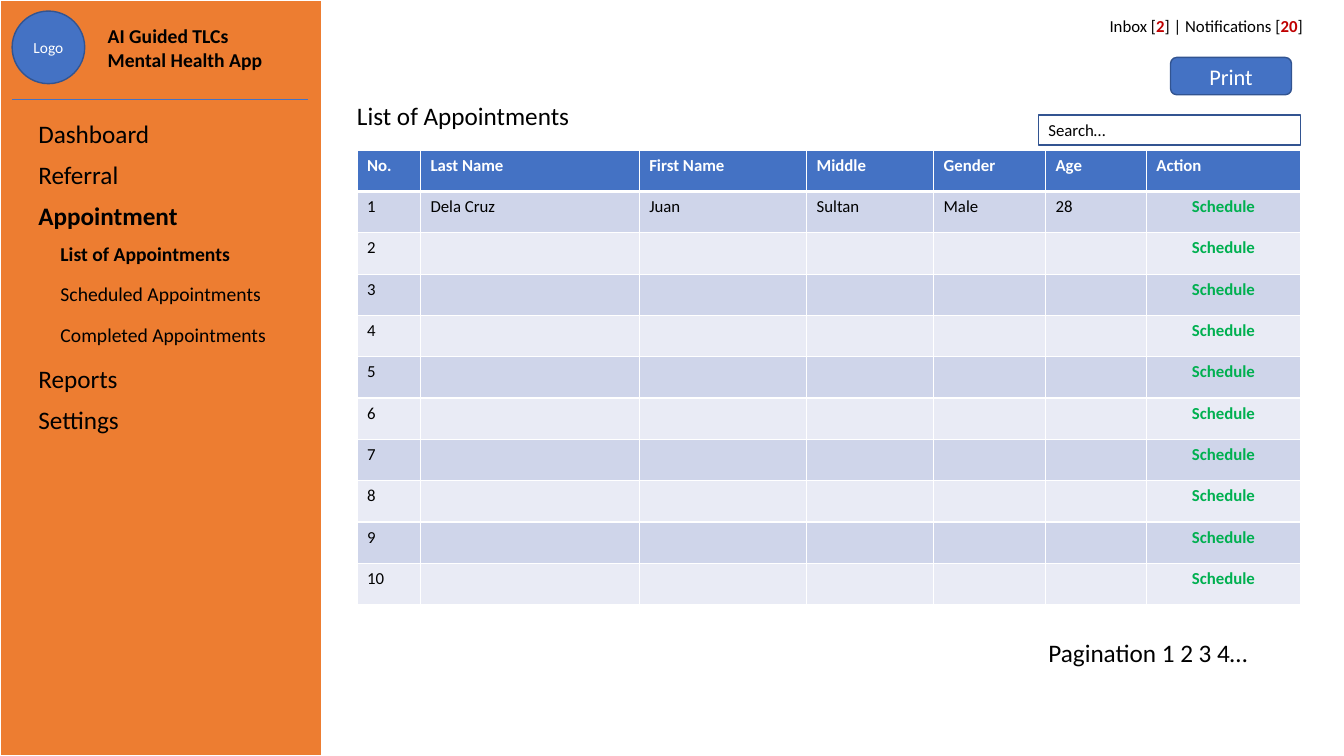
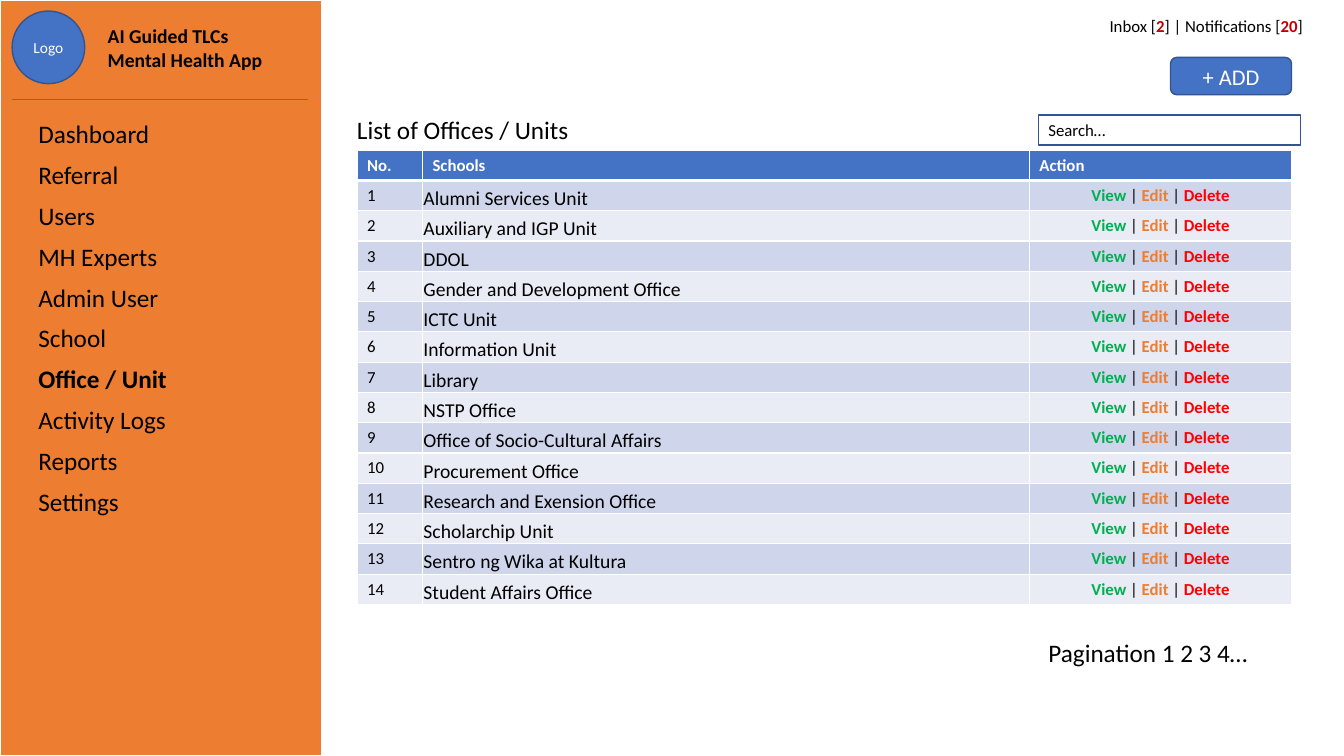
from lxml import etree
from pptx import Presentation
from pptx.dml.color import RGBColor
from pptx.enum.shapes import MSO_CONNECTOR, MSO_SHAPE
from pptx.enum.text import MSO_ANCHOR as ANCHOR, MSO_AUTO_SIZE, PP_ALIGN as ALIGN
from pptx.oxml.ns import qn
from pptx.util import Inches, Pt

COLORS = {
    "orange": "ED7D31", "blue": "4472C4", "navy": "325491", "white": "FFFFFF",
    "black": "000000", "crimson": "C00000", "green": "00B050", "red": "FF0000",
    "band_dark": "CFD5EA", "band_light": "E9EBF5",
}
FONT = "Calibri"
NO_TABLE_STYLE = "{2D5ABB26-0587-4C30-8999-92F81FD0307C}"


def add_spans(para, spans, size, align=ALIGN.LEFT):
    """Write (text, colour, bold) spans into a paragraph."""
    para.alignment = align
    for text, color, bold in spans:
        span = para.add_run()
        span.text = text
        span.font.name = FONT
        span.font.size = Pt(size)
        span.font.bold = bold
        span.font.color.rgb = RGBColor.from_string(COLORS[color])


def add_panel(page, geometry, place, spans, size, align=ALIGN.LEFT,
              fill="blue", line="navy", weight=1):
    """Add a preset shape, or a plain text box when geometry is None."""
    place = [Inches(value) for value in place]
    if geometry is None:
        box = page.shapes.add_textbox(*place)
    else:
        box = page.shapes.add_shape(geometry, *place)
        box.shadow.inherit = False
        box.fill.solid()
        box.fill.fore_color.rgb = RGBColor.from_string(COLORS[fill])
        box.line.color.rgb = RGBColor.from_string(COLORS[line])
        box.line.width = Pt(weight)
        box.text_frame.vertical_anchor = ANCHOR.MIDDLE
    box.text_frame.word_wrap = True
    add_spans(box.text_frame.paragraphs[0], spans, size, align)


# Content of the two pages
schedule = [("Schedule", "green", True)]
edit_links = [("View", "green", True), (" | ", "black", False),
              ("Edit", "orange", True), (" | ", "black", False),
              ("Delete", "red", True)]
patient = ["Dela Cruz", "Juan", "Sultan", "Male", "28"]
offices = [
    "Alumni Services Unit", "Auxiliary and IGP Unit", "DDOL",
    "Gender and Development Office", "ICTC Unit", "Information Unit", "Library",
    "NSTP Office", "Office of Socio-Cultural Affairs", "Procurement Office",
    "Research and Exension Office", "Scholarchip Unit",
    "Sentro ng Wika at Kultura", "Student Affairs Office",
]
pages = [
    {
        "title": "List of Appointments", "title_place": (3.54, 0.94, 2.8, 0.4),
        "button": "Print",
        "menu": ["Dashboard", "Referral", "Appointment", "List of Appointments",
                 "Scheduled Appointments", "Completed Appointments",
                 "Reports", "Settings"],
        "submenu": range(3, 6), "active": ["Appointment", "List of Appointments"],
        "header": ["No.", "Last Name", "First Name", "Middle", "Gender", "Age", "Action"],
        "rows": [patient] + [[""] * 5] * 9, "actions": schedule,
        "widths": [0.63, 2.17, 1.66, 1.26, 1.11, 1, 1.53],
        "row_height": 0.41, "flush_names": False,
    },
    {
        "title": "List of Offices / Units", "title_place": (3.54, 1.08, 6.51, 0.4),
        "button": "+ ADD",
        "menu": ["Dashboard", "Referral", "Users", "MH Experts", "Admin User",
                 "School", "Office / Unit", "Activity Logs", "Reports", "Settings"],
        "submenu": [], "active": ["Office / Unit"],
        "header": ["No.", "Schools", "Action"],
        "rows": [[office] for office in offices], "actions": edit_links,
        "widths": [0.65, 6.02, 2.6],
        "row_height": 0.3, "flush_names": True,
    },
]
MENU_ROW = 0.405

deck = Presentation()
deck.slide_width, deck.slide_height = Inches(13.33), Inches(7.5)

for content in pages:
    page = deck.slides.add_slide(deck.slide_layouts[5])

    # Title
    title = page.shapes.title
    title.left, title.top, title.width, title.height = [
        Inches(value) for value in content["title_place"]]
    frame = title.text_frame
    frame.auto_size = MSO_AUTO_SIZE.NONE
    frame.word_wrap = True
    frame.vertical_anchor = ANCHOR.TOP
    frame.margin_left = 0
    add_spans(frame.paragraphs[0], [(content["title"], "black", False)], 18)

    # Sidebar with logo and app name
    add_panel(page, MSO_SHAPE.RECTANGLE, (0, 0, 3.19, 7.5), [], 18,
              fill="orange", line="white", weight=1.5)
    add_panel(page, MSO_SHAPE.OVAL, (0.12, 0.11, 0.72, 0.72),
              [("Logo", "white", False)], 11, ALIGN.CENTER)
    add_panel(page, None, (0.97, 0.19, 1.83, 0.57),
              [("AI Guided TLCs Mental Health App", "black", True)], 14)
    divider = page.shapes.add_connector(
        MSO_CONNECTOR.STRAIGHT, Inches(0.12), Inches(0.99), Inches(3.05), Inches(0.99))
    divider.line.color.rgb = RGBColor.from_string(COLORS["blue"])
    divider.line.width = Pt(0.5)
    etree.SubElement(divider.element.spPr, qn("a:effectLst"))

    # Menu and list tables
    menu, header = content["menu"], content["header"]
    menu_table = page.shapes.add_table(
        len(menu), 1, Inches(0.28), Inches(1.14), Inches(2.64),
        Inches(MENU_ROW * len(menu)))
    row_count = len(content["rows"]) + 1
    list_table = page.shapes.add_table(
        row_count, len(header), Inches(3.54), Inches(1.49),
        Inches(sum(content["widths"])), Inches(content["row_height"] * row_count))
    for holder, height in ((menu_table, MENU_ROW), (list_table, content["row_height"])):
        holder.table.first_row = holder.table.horz_banding = False
        for style in holder.element.iter(qn("a:tableStyleId")):
            style.text = NO_TABLE_STYLE
        for row in holder.table.rows:
            row.height = Inches(height)

    # Menu entries
    for index, label in enumerate(menu):
        cell = menu_table.table.cell(index, 0)
        nested = index in content["submenu"]
        if nested:
            cell.margin_left = Inches(0.32)
        add_spans(cell.text_frame.paragraphs[0],
                  [(label, "black", label in content["active"])], 14 if nested else 18)

    # List cells: header, then number, values and actions
    for column, width in zip(list_table.table.columns, content["widths"]):
        column.width = Inches(width)
    grid = [[[(label, "white", True)] for label in header]]
    for number, values in enumerate(content["rows"], 1):
        texts = [str(number)] + values
        grid.append([[(text, "black", False)] if text else [] for text in texts]
                    + [content["actions"]])
    for r, line in enumerate(grid):
        for c, spans in enumerate(line):
            cell = list_table.table.cell(r, c)
            for side in ("L", "R", "T", "B"):
                thick = (r == 0 and side == "B") or (r == 1 and side == "T")
                border = etree.SubElement(cell._tc.get_or_add_tcPr(), qn("a:ln" + side),
                                          w=str(Pt(3 if thick else 1)))
                paint = etree.SubElement(border, qn("a:solidFill"))
                etree.SubElement(paint, qn("a:srgbClr"), val=COLORS["white"])
            band = "blue" if r == 0 else "band_dark" if r % 2 else "band_light"
            cell.fill.solid()
            cell.fill.fore_color.rgb = RGBColor.from_string(COLORS[band])
            size = 12
            if content["flush_names"] and r and c == 1:
                size = 14
                cell.vertical_anchor = ANCHOR.BOTTOM
                cell.margin_left = cell.margin_right = cell.margin_top = Inches(0.01)
                cell.margin_bottom = 0
            centered = r and c == len(header) - 1
            add_spans(cell.text_frame.paragraphs[0], spans, size,
                      ALIGN.CENTER if centered else ALIGN.LEFT)

    # Status line, button, search field and pagination
    add_panel(page, None, (10.36, 0.11, 2.66, 0.3),
              [("Inbox [", "black", False), ("2", "crimson", True),
               ("] | Notifications [", "black", False), ("20", "crimson", True),
               ("]", "black", False)], 12, ALIGN.RIGHT)
    add_panel(page, MSO_SHAPE.ROUNDED_RECTANGLE, (11.61, 0.57, 1.2, 0.37),
              [(content["button"], "white", False)], 16, ALIGN.CENTER)
    add_panel(page, MSO_SHAPE.RECTANGLE, (10.3, 1.14, 2.6, 0.3),
              [("Search…", "black", False)], 12, fill="white")
    add_panel(page, None, (10.3, 6.27, 2.6, 0.4),
              [("Pagination 1 2 3 4…", "black", False)], 18)

deck.save("out.pptx")
